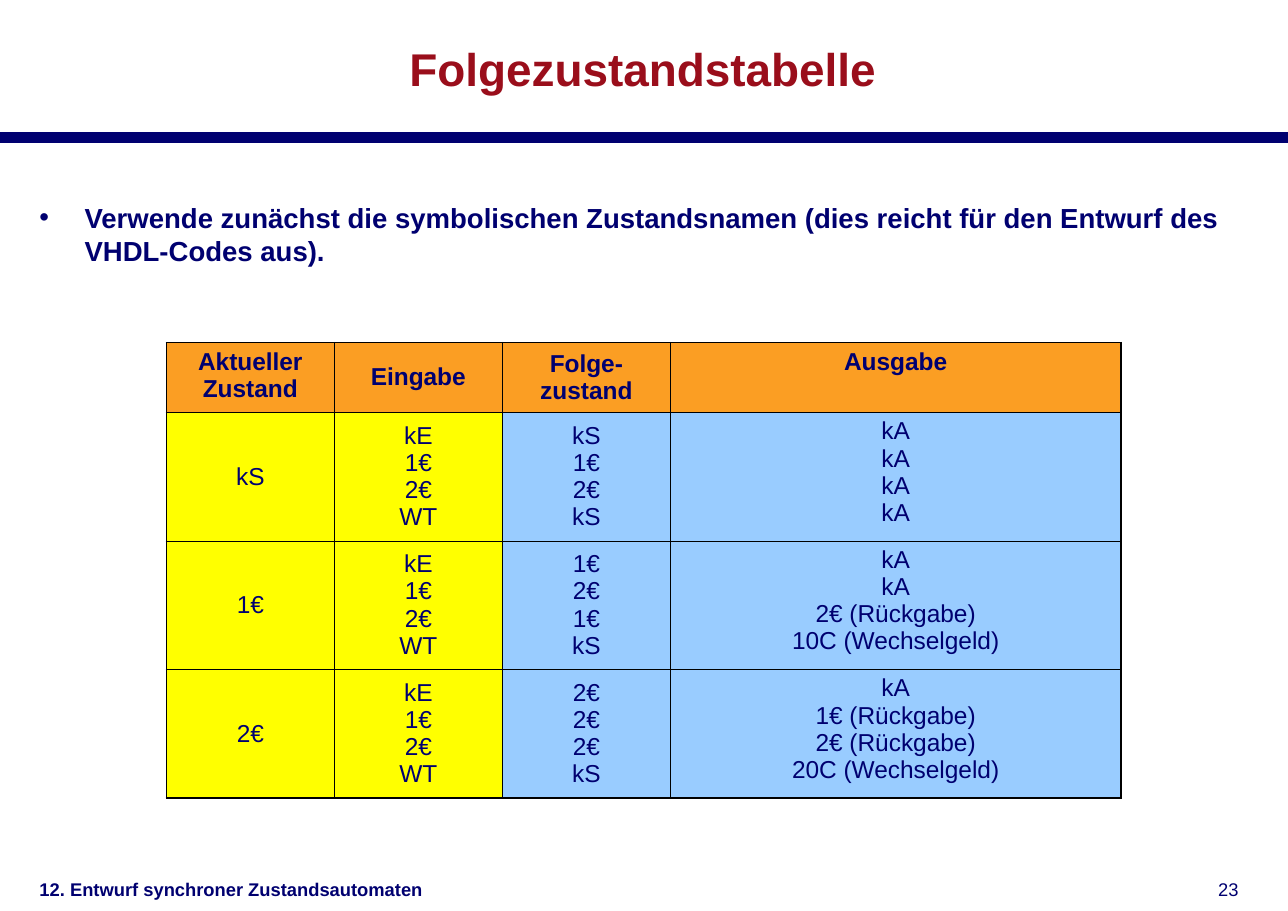
from lxml.etree import SubElement
from pptx import Presentation
from pptx.dml.color import RGBColor
from pptx.enum.shapes import MSO_CONNECTOR
from pptx.enum.text import MSO_ANCHOR, PP_ALIGN
from pptx.oxml.ns import qn
from pptx.util import Pt

TITLE = "Folgezustandstabelle"
ADVICE = ("Verwende zunächst die symbolischen Zustandsnamen "
          "(dies reicht für den Entwurf des VHDL-Codes aus).")
CHAPTER = "12. Entwurf synchroner Zustandsautomaten"
PAGE = "23"
HEADINGS = ["Aktueller Zustand", "Eingabe", "Folge-zustand", "Ausgabe"]
INPUTS = ["kE", "1€", "2€", "WT"]
TRANSITIONS = [
    ("kS", ["kS", "1€", "2€", "kS"], ["kA", "kA", "kA", "kA"]),
    ("1€", ["1€", "2€", "1€", "kS"],
     ["kA", "kA", "2€ (Rückgabe)", "10C (Wechselgeld)"]),
    ("2€", ["2€", "2€", "2€", "kS"],
     ["kA", "1€ (Rückgabe)", "2€ (Rückgabe)", "20C (Wechselgeld)"]),
]

SLIDE_WIDTH, SLIDE_HEIGHT = 841.68, 595.44
NAVY, RED, ORANGE, YELLOW, SKY, BLACK, WHITE = (
    "000070", "9A0E1B", "FB9E23", "FFFF00", "99CCFF", "000000", "FFFFFF")
COLUMN_WIDTHS = [109.8, 109.8, 109.8, 294.5]
ROW_HEIGHTS = [45.5, 84, 84, 84]
THICK, THIN = 0.96, 0.45
COLUMN_RULES = [THICK, THIN, THICK, THIN, THICK]
ROW_RULES = [THICK, THICK, THIN, THIN, THICK]


def rgb(color):
    return RGBColor.from_string(color)


def write(frame, lines, size, color=NAVY, bold=False, align=PP_ALIGN.LEFT):
    for index, line in enumerate(lines):
        paragraph = frame.paragraphs[0] if index == 0 else frame.add_paragraph()
        paragraph.alignment = align
        run = paragraph.add_run()
        run.text = line
        run.font.name = "Arial"
        run.font.size = Pt(size)
        run.font.bold = bold
        run.font.color.rgb = rgb(color)


def set_margins(frame):
    frame.word_wrap = True
    frame.margin_left = frame.margin_right = Pt(7.8)
    frame.margin_top = frame.margin_bottom = Pt(3.7)


def add_text(slide, box, line, size, **style):
    frame = slide.shapes.add_textbox(*map(Pt, box)).text_frame
    set_margins(frame)
    write(frame, [line], size, **style)
    return frame.paragraphs[0]


def add_bullet(paragraph):
    properties = paragraph._p.get_or_add_pPr()
    properties.set("marL", str(Pt(29.5)))
    properties.set("indent", str(-Pt(29.5)))
    bullet_color = SubElement(properties, qn("a:buClr"))
    SubElement(bullet_color, qn("a:srgbClr"), val=NAVY)
    SubElement(properties, qn("a:buFont"), typeface="Arial")
    SubElement(properties, qn("a:buChar"), char="•")


def draw_borders(cell, widths):
    properties = cell._tc.get_or_add_tcPr()
    for position, (edge, width) in enumerate(zip(("lnL", "lnR", "lnT", "lnB"), widths)):
        border = SubElement(properties, qn(f"a:{edge}"), w=str(Pt(width)))
        fill = SubElement(border, qn("a:solidFill"))
        SubElement(fill, qn("a:srgbClr"), val=BLACK)
        properties.insert(position, border)


def add_transition_table(slide):
    rows = [[[heading] for heading in HEADINGS]]
    rows += [[[state], INPUTS, following, outputs]
             for state, following, outputs in TRANSITIONS]
    table = slide.shapes.add_table(
        len(rows), len(HEADINGS), Pt(108.7), Pt(223.9),
        Pt(sum(COLUMN_WIDTHS)), Pt(sum(ROW_HEIGHTS))).table
    for column, width in zip(table.columns, COLUMN_WIDTHS):
        column.width = Pt(width)
    for row, height in zip(table.rows, ROW_HEIGHTS):
        row.height = Pt(height)
    for r, row in enumerate(rows):
        for c, lines in enumerate(row):
            cell = table.cell(r, c)
            is_heading = r == 0
            at_top = c == 3 or (is_heading and c == 0)
            cell.vertical_anchor = MSO_ANCHOR.TOP if at_top else MSO_ANCHOR.MIDDLE
            cell.margin_left = cell.margin_right = Pt(7.2)
            cell.margin_top = cell.margin_bottom = Pt(3.6)
            cell.fill.solid()
            cell.fill.fore_color.rgb = rgb(
                ORANGE if is_heading else YELLOW if c < 2 else SKY)
            draw_borders(cell, (COLUMN_RULES[c], COLUMN_RULES[c + 1],
                                ROW_RULES[r], ROW_RULES[r + 1]))
            write(cell.text_frame, lines, 16, bold=is_heading, align=PP_ALIGN.CENTER)


def main():
    deck = Presentation()
    deck.slide_width, deck.slide_height = Pt(SLIDE_WIDTH), Pt(SLIDE_HEIGHT)
    slide = deck.slides.add_slide(deck.slide_layouts[5])
    slide.background.fill.solid()
    slide.background.fill.fore_color.rgb = rgb(WHITE)

    title = slide.shapes.title
    title.left, title.top, title.width, title.height = map(Pt, (18, 20.2, 804.2, 49))
    set_margins(title.text_frame)
    title.text_frame.vertical_anchor = MSO_ANCHOR.MIDDLE
    write(title.text_frame, [TITLE], 30, RED, True, PP_ALIGN.CENTER)

    rule = slide.shapes.add_connector(
        MSO_CONNECTOR.STRAIGHT, 0, Pt(90), Pt(SLIDE_WIDTH), Pt(90))
    rule.line.color.rgb = rgb(NAVY)
    rule.line.width = Pt(7.09)
    SubElement(rule._element.spPr, qn("a:effectLst"))

    add_bullet(add_text(slide, (18, 127.4, 804.2, 52), ADVICE, 18, bold=True))
    add_transition_table(slide)
    add_text(slide, (18, 570.2, 306, 25.2), CHAPTER, 12, bold=True)
    add_text(slide, (783.4, 570.2, 33.8, 25.2), PAGE, 12, align=PP_ALIGN.RIGHT)
    deck.save("out.pptx")


if __name__ == "__main__":
    main()
